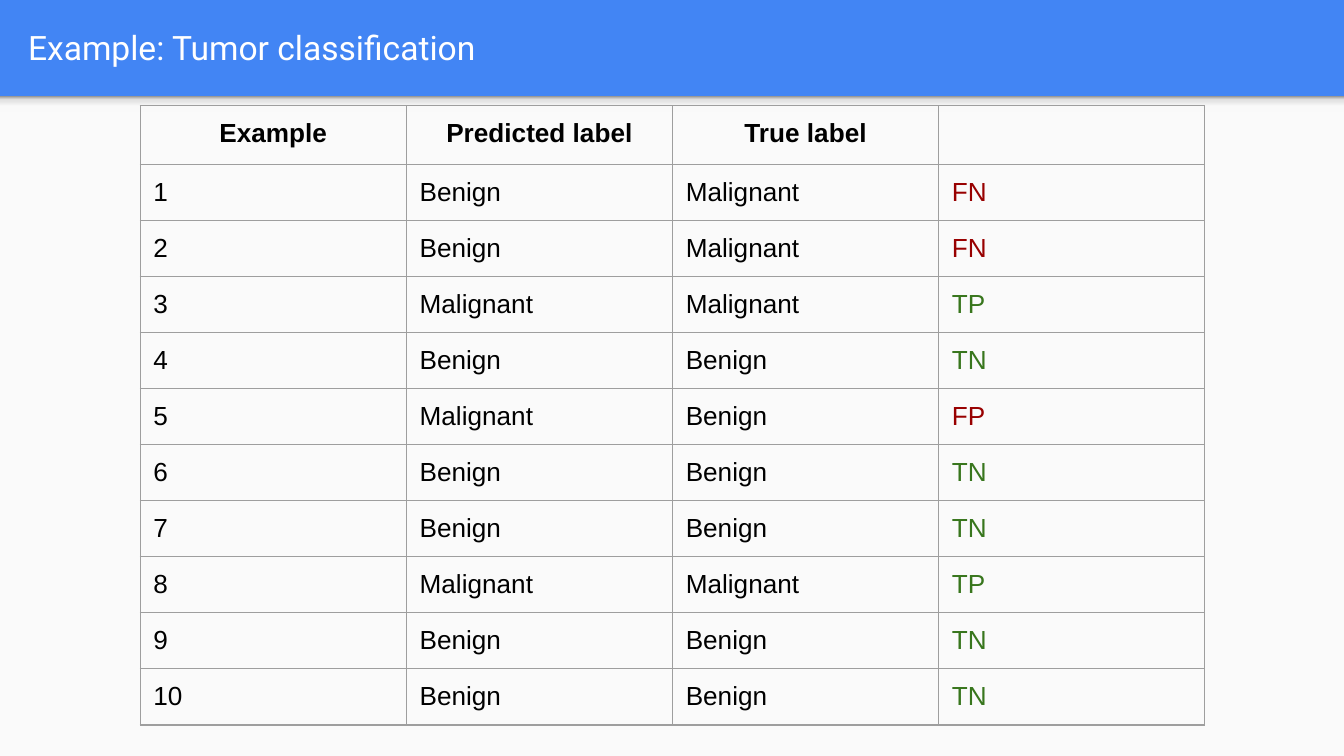
from dataclasses import dataclass

from lxml import etree
from pptx import Presentation
from pptx.dml.color import RGBColor
from pptx.enum.shapes import MSO_SHAPE
from pptx.enum.text import MSO_ANCHOR, PP_ALIGN
from pptx.oxml.ns import qn
from pptx.util import Cm, Pt

RECTANGLE = MSO_SHAPE.RECTANGLE
MIDDLE = MSO_ANCHOR.MIDDLE
LEFT, CENTER = PP_ALIGN.LEFT, PP_ALIGN.CENTER


@dataclass(frozen=True)
class Theme:
    header: str = "4285F4"
    body: str = "FAFAFA"
    title: str = "FFFFFF"
    text: str = "000000"
    wrong: str = "980000"
    right: str = "38761D"
    border: str = "9E9E9E"
    shadow: tuple = ((0, "F9F9F9"), (0.36, "F9F9F9"), (0.8, "DEDEDE"), (1, "999999"))
    title_font: str = "Roboto"
    table_font: str = "Arial"
    title_size: Pt = Pt(18)
    table_size: Pt = Pt(14)
    border_width: Pt = Pt(0.75)


theme = Theme()


def add_band(slide, top, height):
    band = slide.shapes.add_shape(RECTANGLE, 0, top, SLIDE_WIDTH, height)
    band.shadow.inherit = False
    band.line.fill.background()
    return band


def set_borders(cell):
    properties = cell._tc.get_or_add_tcPr()
    for side in ("lnL", "lnR", "lnT", "lnB"):
        line = etree.SubElement(properties, qn(f"a:{side}"), w=str(theme.border_width))
        fill = etree.SubElement(line, qn("a:solidFill"))
        etree.SubElement(fill, qn("a:srgbClr"), val=theme.border)


SLIDE_WIDTH, SLIDE_HEIGHT = Cm(25.4), Cm(14.29)
HEADER_HEIGHT = Cm(1.82)
INSET = Cm(0.25)

presentation = Presentation()
presentation.slide_width, presentation.slide_height = SLIDE_WIDTH, SLIDE_HEIGHT
slide = presentation.slides.add_slide(presentation.slide_layouts[5])

# Blue background with a light body below the header
slide.background.fill.solid()
slide.background.fill.fore_color.rgb = RGBColor.from_string(theme.header)
body = add_band(slide, HEADER_HEIGHT, SLIDE_HEIGHT - HEADER_HEIGHT)
body.fill.solid()
body.fill.fore_color.rgb = RGBColor.from_string(theme.body)

# Soft shadow under the header, darkest at its top
header_shadow = add_band(slide, HEADER_HEIGHT, Cm(0.3))
header_shadow.fill.gradient()
header_shadow.fill.gradient_angle = 90
stops = header_shadow._element.spPr.find(qn("a:gradFill")).find(qn("a:gsLst"))
for stop in list(stops):
    stops.remove(stop)
for position, color in theme.shadow:
    stop = etree.SubElement(stops, qn("a:gs"), pos=str(round(position * 100000)))
    etree.SubElement(stop, qn("a:srgbClr"), val=color)

# Title
title = slide.shapes.title
title.left, title.top, title.width, title.height = Cm(0.28), Cm(0.05), Cm(24.5), Cm(1.68)
title_frame = title.text_frame
title_frame.text = "Example: Tumor classification"
title_frame.word_wrap = True
title_frame.vertical_anchor = MIDDLE
title_frame.margin_left = title_frame.margin_right = INSET
title_frame.margin_top = title_frame.margin_bottom = INSET
heading = title_frame.paragraphs[0]
heading.alignment = LEFT
heading.runs[0].font.name = theme.title_font
heading.runs[0].font.size = theme.title_size
heading.runs[0].font.color.rgb = RGBColor.from_string(theme.title)

# Predicted and true label of each example
B, M = "Benign", "Malignant"
labels = [(B, M), (B, M), (M, M), (B, B), (M, B),
          (B, B), (B, B), (M, M), (B, B), (B, B)]
rows = [("Example", "Predicted label", "True label", "")]
for number, (predicted, true) in enumerate(labels, start=1):
    outcome = ("T" if predicted == true else "F") + ("P" if predicted == M else "N")
    rows.append((str(number), predicted, true, outcome))

# Classification table
COLUMN_WIDTH, ROW_HEIGHT = Cm(5.03), Cm(1.06)
column_count = len(rows[0])
results = slide.shapes.add_table(
    len(rows), column_count, Cm(2.65), Cm(2),
    COLUMN_WIDTH * column_count, ROW_HEIGHT * len(rows)).table
results.first_row = results.horz_banding = False
for column in results.columns:
    column.width = COLUMN_WIDTH

for row_index, row in enumerate(rows):
    is_header = row_index == 0
    for column_index, value in enumerate(row):
        cell = results.cell(row_index, column_index)
        set_borders(cell)
        cell.fill.background()
        cell.margin_left = cell.margin_right = INSET
        cell.margin_top = cell.margin_bottom = INSET
        color = theme.text
        if column_index == column_count - 1 and not is_header:
            color = theme.right if value.startswith("T") else theme.wrong
        paragraph = cell.text_frame.paragraphs[0]
        paragraph.text = value
        paragraph.alignment = CENTER if is_header else LEFT
        for run in paragraph.runs:
            run.font.name = theme.table_font
            run.font.size = theme.table_size
            run.font.bold = is_header
            run.font.color.rgb = RGBColor.from_string(color)
        if not value:  # keeps the empty cell from stretching its row
            etree.SubElement(paragraph._p, qn("a:endParaRPr"),
                             sz=str(round(theme.table_size.pt * 100)))

presentation.save("out.pptx")
